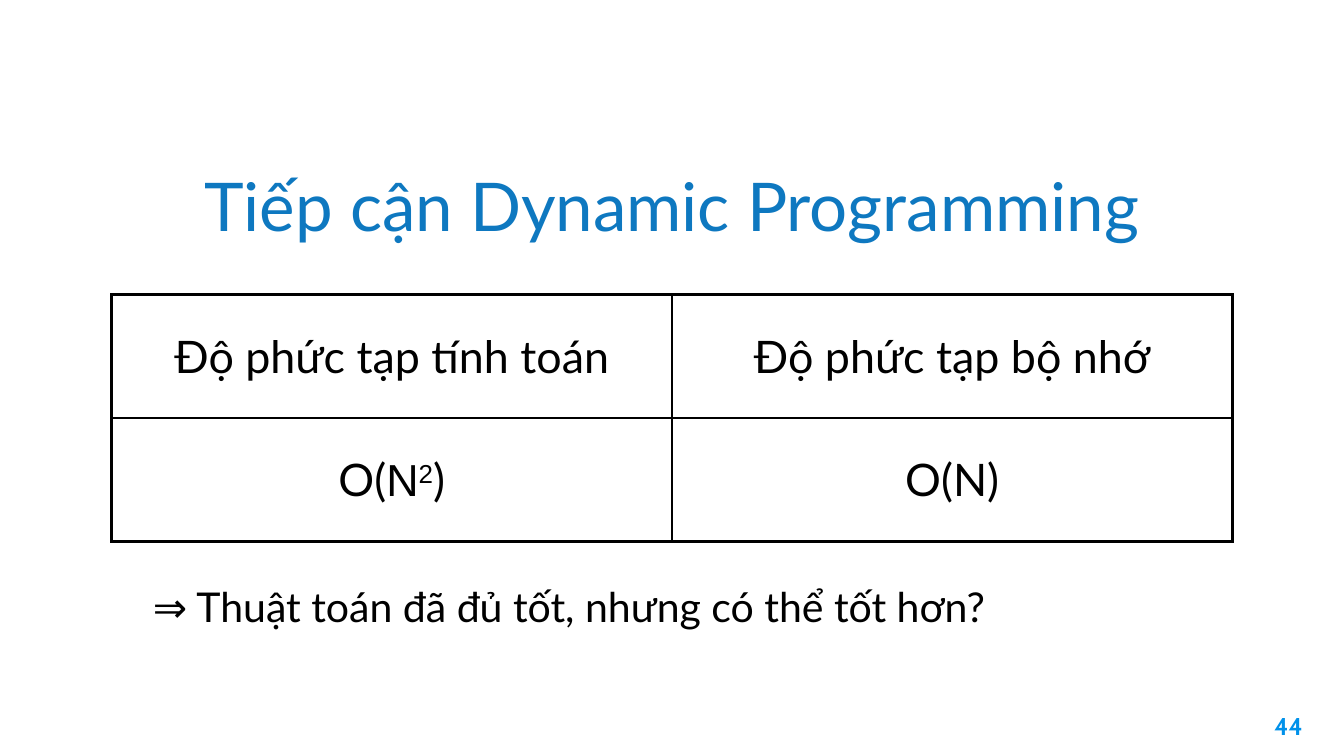
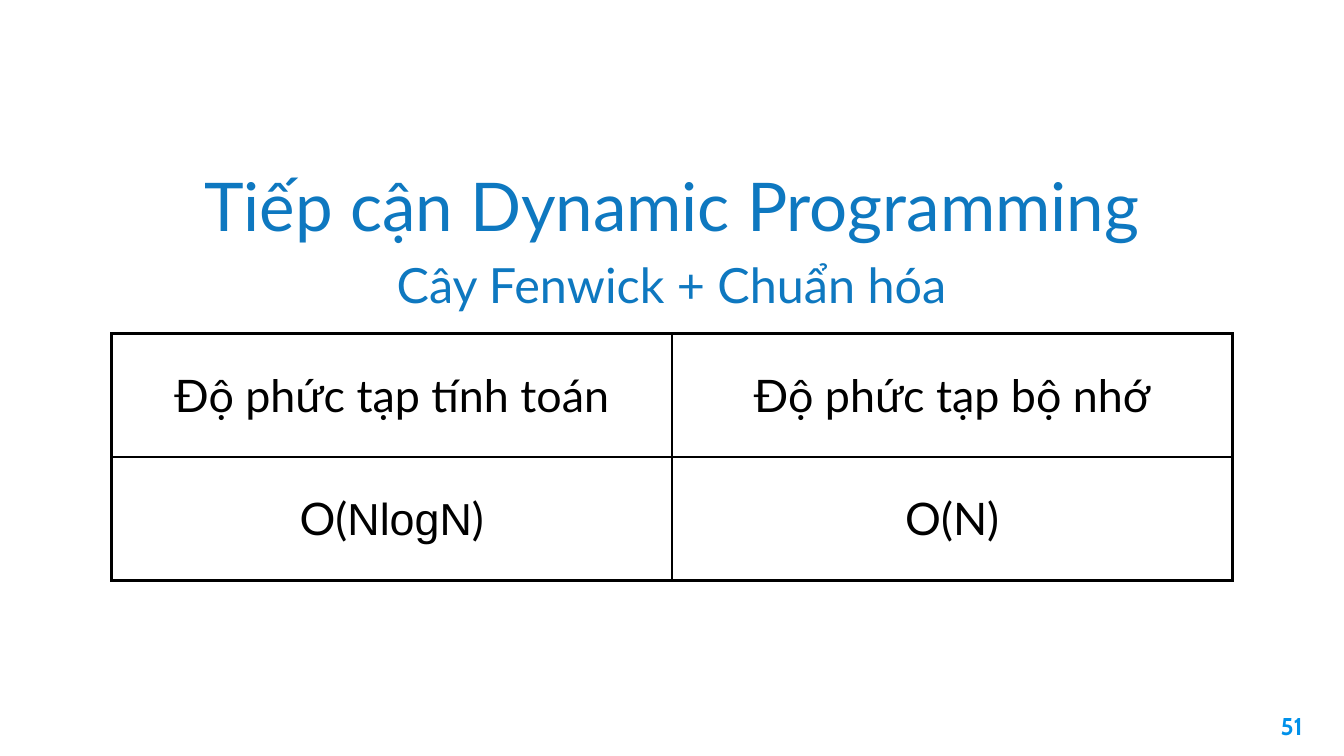
"""Build two slides on the complexity of the dynamic programming approach."""
from lxml.etree import SubElement
from pptx import Presentation
from pptx.dml.color import RGBColor
from pptx.enum.text import MSO_ANCHOR as Anchor, PP_ALIGN as Align
from pptx.oxml.ns import qn
from pptx.util import Inches, Pt

WIDTH = 10
HEIGHT = WIDTH * 9 / 16
COLORS = {"title": "0E78C0", "number": "0091EA", "ink": "000000", "paper": "FFFFFF"}
MARGIN = 0.1
COLUMN_WIDTH, ROW_HEIGHT, BORDER = 4.17, 0.92, 1.5
TABLE_LEFT = WIDTH / 2 - COLUMN_WIDTH

STYLES = {
    "title": {"size": 36, "font": "Lato", "color": "title", "align": Align.CENTER},
    "subtitle": {"size": 26, "font": "Lato", "color": "title", "align": Align.CENTER},
    "cell": {"size": 24, "font": "Lato", "color": "ink", "align": Align.CENTER},
    "remark": {"size": 22, "font": "Lato", "color": "ink", "align": Align.LEFT},
    "number": {"size": 13, "font": "Cabin", "color": "number", "align": Align.RIGHT, "bold": True},
}
BOXES = {
    "title": (0.97, 1.12, 8.06, 0.86),
    "subtitle": (2.82, 1.8, 4.36, 0.64),
    "remark": (1.04, 4.23, 7.27, 0.8),
    "number": (9.19, 5.19, 0.6, 0.43),
}

TITLE = "Tiếp cận Dynamic Programming"
HEADINGS = [[("Độ phức tạp tính toán", {})], [("Độ phức tạp bộ nhớ", {})]]
MEMORY = [("O(N)", {})]
ARIAL = {"font": "Arial"}
SLIDES = [
    {
        "texts": {
            "number": "44",
            "title": TITLE,
            "remark": "⇒ Thuật toán đã đủ tốt, nhưng có thể tốt hơn?",
        },
        "time": [("O(", {}), ("N", ARIAL), ("2", {"font": "Arial", "baseline": 30}), (")", {})],
        "table_top": 2.19,
    },
    {
        "texts": {"number": "51", "title": TITLE, "subtitle": "Cây Fenwick + Chuẩn hóa"},
        "time": [("O(", {}), ("NlogN", ARIAL), (")", {})],
        "table_top": 2.48,
    },
]


def write_runs(frame, runs, style):
    paragraph = frame.paragraphs[0]
    paragraph.alignment = style["align"]
    for text, changes in runs:
        look = {**style, **changes}
        run = paragraph.add_run()
        run.text = text
        run.font.size = Pt(look["size"])
        run.font.name = look["font"]
        run.font.bold = look.get("bold", False)
        run.font.color.rgb = RGBColor.from_string(COLORS[look["color"]])
        if "baseline" in look:
            run._r.get_or_add_rPr().set("baseline", str(look["baseline"] * 1000))


def set_margins(holder):
    for side in ("left", "top", "right", "bottom"):
        setattr(holder, f"margin_{side}", Inches(MARGIN))


def add_text(slide, name, text):
    shape = slide.shapes.add_textbox(*map(Inches, BOXES[name]))
    frame = shape.text_frame
    frame.word_wrap = True
    set_margins(frame)
    write_runs(frame, [(text, {})], STYLES[name])


def add_borders(cell):
    properties = cell._tc.get_or_add_tcPr()
    for side in "LRTB":
        line = SubElement(properties, qn(f"a:ln{side}"), w=str(Pt(BORDER)))
        fill = SubElement(line, qn("a:solidFill"))
        SubElement(fill, qn("a:srgbClr"), val=COLORS["ink"])


def add_complexity_table(slide, rows, top):
    row_count, column_count = len(rows), len(rows[0])
    size = (COLUMN_WIDTH * column_count, ROW_HEIGHT * row_count)
    place = map(Inches, (TABLE_LEFT, top, *size))
    table = slide.shapes.add_table(row_count, column_count, *place).table
    table.first_row = table.horz_banding = False
    for column in table.columns:
        column.width = Inches(COLUMN_WIDTH)
    for row, contents in zip(table.rows, rows):
        row.height = Inches(ROW_HEIGHT)
        for cell, runs in zip(row.cells, contents):
            set_margins(cell)
            cell.vertical_anchor = Anchor.MIDDLE
            add_borders(cell)
            cell.fill.background()
            write_runs(cell.text_frame, runs, STYLES["cell"])


def main():
    presentation = Presentation()
    presentation.slide_width, presentation.slide_height = Inches(WIDTH), Inches(HEIGHT)
    for content in SLIDES:
        slide = presentation.slides.add_slide(presentation.slide_layouts[6])
        slide.background.fill.solid()
        slide.background.fill.fore_color.rgb = RGBColor.from_string(COLORS["paper"])
        add_complexity_table(slide, [HEADINGS, [content["time"], MEMORY]], content["table_top"])
        for name, text in content["texts"].items():
            add_text(slide, name, text)
    presentation.save("out.pptx")


if __name__ == "__main__":
    main()
